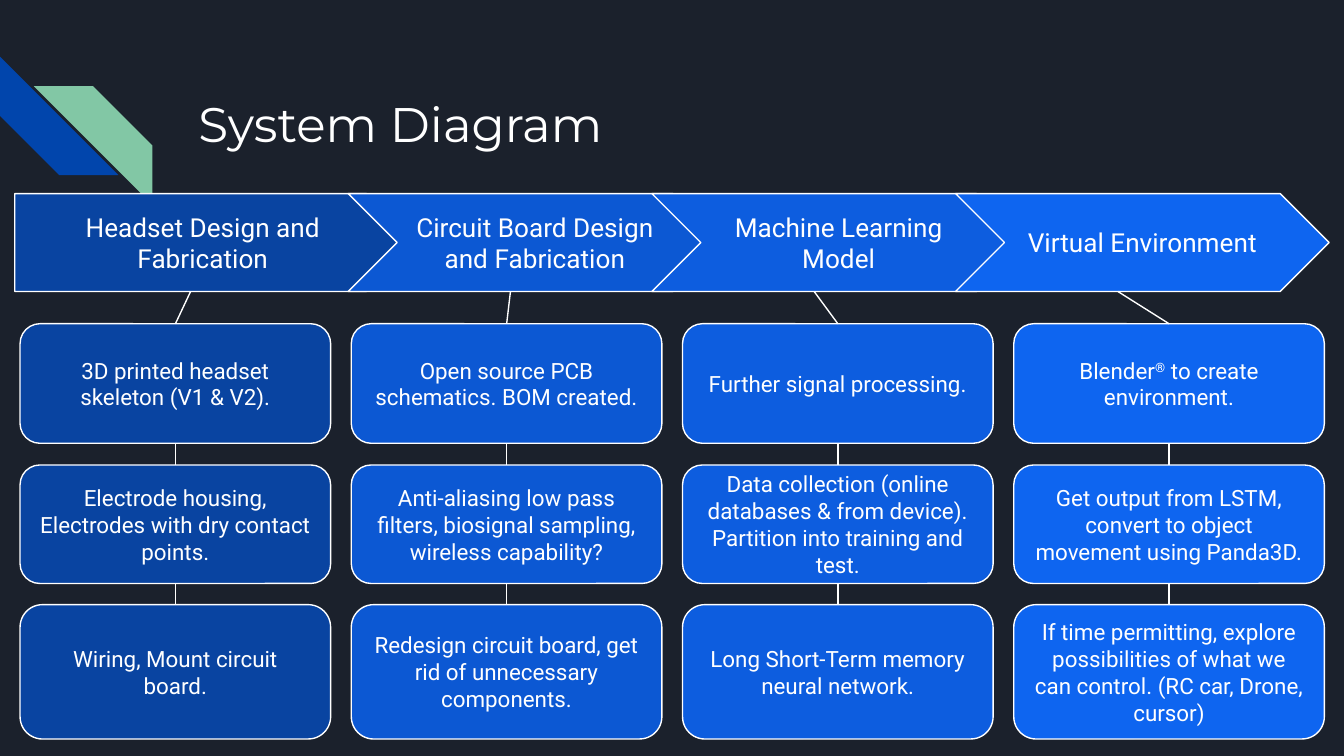
from itertools import pairwise

from lxml.etree import SubElement
from pptx import Presentation
from pptx.dml.color import RGBColor
from pptx.enum.shapes import MSO_CONNECTOR, MSO_SHAPE
from pptx.enum.text import MSO_ANCHOR, PP_ALIGN
from pptx.oxml.ns import qn
from pptx.util import Cm, Pt

WHITE = "FFFFFF"
ROWS = [(6.12, 2.26), (8.79, 2.24), (11.43, 2.54)]
STAGES = [
    ("Headset Design and Fabrication", "0944A1", [
        "3D printed headset skeleton (V1 & V2).",
        "Electrode housing, Electrodes with dry contact points.",
        "Wiring, Mount circuit board."]),
    ("Circuit Board Design and Fabrication", "0C58D3", [
        "Open source PCB schematics. BOM created.",
        "Anti-aliasing low pass filters, biosignal sampling, wireless capability?",
        "Redesign circuit board, get rid of unnecessary components."]),
    ("Machine Learning Model", "0D5DDF", [
        "Further signal processing.",
        "Data collection (online databases & from device). Partition into training and test.",
        "Long Short-Term memory neural network."]),
    ("Virtual Environment", "0E65F0", [
        "Blender® to create environment.",
        "Get output from LSTM, convert to object movement using Panda3D.",
        "If time permitting, explore possibilities of what we can control. (RC car, Drone, cursor)"]),
]


def rgb(hex_color):
    """Turn a hex string into a colour."""
    return RGBColor.from_string(hex_color)


def set_frame(tf, anchor):
    """Wrap the text, set even insets and the vertical anchor."""
    tf.word_wrap = True
    tf.vertical_anchor = anchor
    tf.margin_left = tf.margin_right = tf.margin_top = tf.margin_bottom = Cm(0.25)


def format_run(r, font, size):
    """Set the typeface and size of a white run."""
    r.font.name, r.font.size = font, Pt(size)
    r.font.color.rgb = rgb(WHITE)


def add_filled(s, kind, x, y, w, h, color):
    """Add a flat preset shape without outline."""
    sp = s.shapes.add_shape(kind, Cm(x), Cm(y), Cm(w), Cm(h))
    sp.shadow.inherit = False
    sp.fill.solid()
    sp.fill.fore_color.rgb = rgb(color)
    sp.line.fill.background()
    return sp


def add_box(s, kind, x, y, w, h, color, text, size):
    """Add an outlined shape with centred text and a raised ® sign."""
    sp = add_filled(s, kind, x, y, w, h, color)
    sp.line.color.rgb = rgb(WHITE)
    sp.line.width = Pt(0.75)
    set_frame(sp.text_frame, MSO_ANCHOR.MIDDLE)
    p = sp.text_frame.paragraphs[0]
    p.alignment = PP_ALIGN.CENTER
    for part in filter(None, text.partition("®")):
        r = p.add_run()
        r.text = part
        format_run(r, "Roboto", size)
        if part == "®":
            r.font._element.set("baseline", "30000")
    return sp


def add_link(s, x, y, lower, upper=None):
    """Draw a line from a point, or from the upper box, to the lower box."""
    line = s.shapes.add_connector(MSO_CONNECTOR.STRAIGHT, Cm(x), Cm(y), lower.left, lower.top)
    line.line.color.rgb = rgb(WHITE)
    line.line.width = Pt(0.75)
    SubElement(line._element.spPr, qn("a:effectLst"))
    if upper is not None:
        line.begin_connect(upper, 2)
    line.end_connect(lower, 0)


def add_title(s, text):
    """Place and format the title placeholder."""
    sp = s.shapes.title
    sp.left, sp.top, sp.width, sp.height = Cm(3.5), Cm(1.52), Cm(19.56), Cm(1.85)
    tf = sp.text_frame
    tf.text = text
    set_frame(tf, MSO_ANCHOR.TOP)
    tf.paragraphs[0].alignment = PP_ALIGN.LEFT
    format_run(tf.paragraphs[0].runs[0], "Montserrat", 26)


def add_stripes(s):
    """Add the two diagonal corner stripes."""
    blue = add_filled(s, MSO_SHAPE.DIAGONAL_STRIPE, 0, 1.07, 2.24, 2.24, "0145AC")
    blue.rotation = 270
    green = add_filled(s, MSO_SHAPE.DIAGONAL_STRIPE, 0.64, 1.63, 2.24, 2.24, "82C7A5")
    green._element.spPr.xfrm.set("flipH", "1")


def add_header(s, i, color, text):
    """Add a stage arrow and return the middle of its bottom edge."""
    kind, x, w = MSO_SHAPE.CHEVRON, 0.84 + 5.74 * i, 7.06
    if i == 0:
        kind, x, w = MSO_SHAPE.PENTAGON, 0.28, 7.57
    y, h = 3.66, 1.85
    add_box(s, kind, x, y, w, h, color, text, 14)
    return x + (w - h / 2) / 2, y + h


def main():
    """Build the slide and save it."""
    prs = Presentation()
    prs.slide_width, prs.slide_height = Cm(25.4), Cm(14.29)
    s = prs.slides.add_slide(prs.slide_layouts[5])
    s.background.fill.solid()
    s.background.fill.fore_color.rgb = rgb("1B212C")
    add_stripes(s)
    add_title(s, "System Diagram")
    starts = [add_header(s, i, color, name) for i, (name, color, _) in enumerate(STAGES)]
    for i, (_, color, steps) in enumerate(STAGES):
        boxes = [add_box(s, MSO_SHAPE.ROUNDED_RECTANGLE, 0.38 + 6.26 * i, y, 5.87, h, color, step, 12)
                 for (y, h), step in zip(ROWS, steps)]
        add_link(s, *starts[i], boxes[0])
        for upper, lower in pairwise(boxes):
            add_link(s, 0, 0, lower, upper)
    prs.save("out.pptx")


if __name__ == "__main__":
    main()
